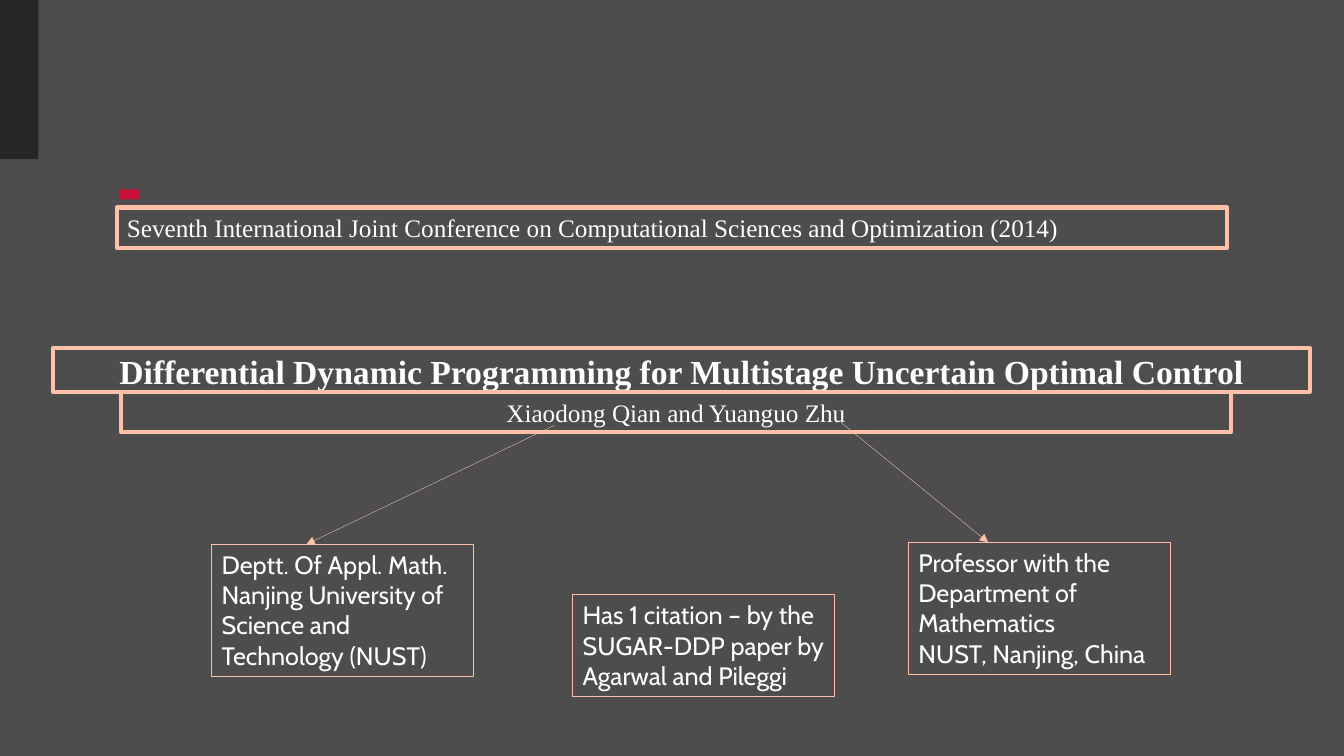
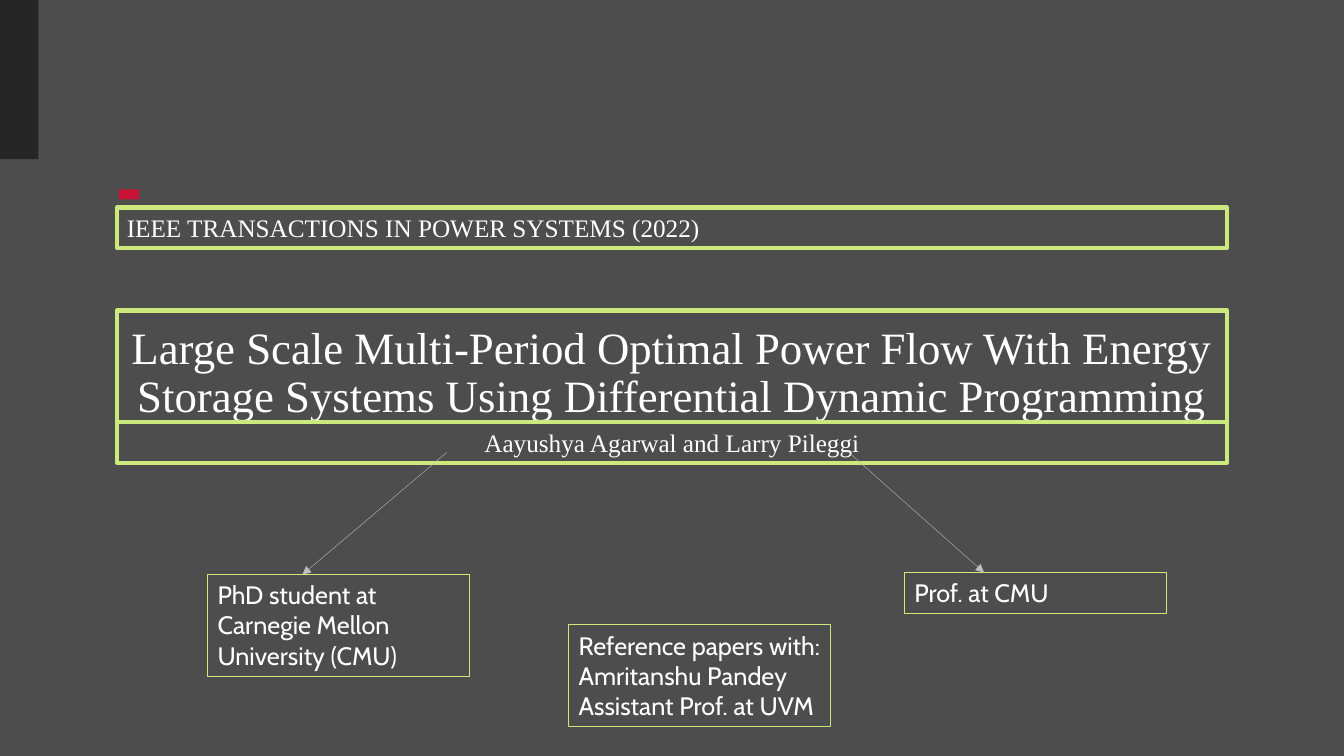
from lxml.etree import SubElement
from pptx import Presentation
from pptx.dml.color import RGBColor
from pptx.enum.shapes import MSO_CONNECTOR, MSO_SHAPE
from pptx.enum.text import MSO_ANCHOR, MSO_AUTO_SIZE, PP_ALIGN
from pptx.oxml.ns import qn
from pptx.util import Inches, Pt

BACKGROUND, TAB, ACCENT, WHITE = "4D4D4D", "262626", "CA1237", "FFFFFF"
PEACH, LIME, GREY = "FFC2A9", "CCEA7C", "BFBFBF"
SERIF, SANS = "Times New Roman", "Cabin"

BAND_X, BAND_W = 1.16, 11.01
NOTE_W, LINE_H, PADDING = 2.6, 0.3, 0.11
NOTE_OFFSETS = {"left": (0, 0), "right": (6.91, -0.02), "middle": (3.58, 0.5)}
ARROW_INSETS = {"left": 0.94, "right": 0.79}


def rgb(code):
    return RGBColor.from_string(code)


def inches(*values):
    return [Inches(v) for v in values]


def add_block(s, box, color):
    sp = s.shapes.add_shape(MSO_SHAPE.RECTANGLE, *inches(*box))
    sp.shadow.inherit = False
    sp.fill.solid()
    sp.fill.fore_color.rgb = rgb(color)
    sp.line.fill.background()


def add_framed_text(s, box, paragraphs, color, weight=3, font=SERIF, size=18,
                    bold=False, align=PP_ALIGN.LEFT):
    """Add a text box with an outline and return it."""
    sp = s.shapes.add_textbox(*inches(*box))
    sp.line.color.rgb = rgb(color)
    sp.line.width = Pt(weight)
    tf = sp.text_frame
    tf.word_wrap = True
    tf.auto_size = MSO_AUTO_SIZE.SHAPE_TO_FIT_TEXT
    for i, text in enumerate(paragraphs):
        p = tf.add_paragraph() if i else tf.paragraphs[0]
        p.alignment = align
        r = p.add_run()
        r.text = text
        r.font.name, r.font.size, r.font.bold = font, Pt(size), bold
        r.font.color.rgb = rgb(WHITE)
    return sp


def add_title(s, box, text, color, size, bold):
    sp = add_framed_text(s, box, [text], color, size=size, bold=bold,
                         align=PP_ALIGN.CENTER)
    tf = sp.text_frame
    tf.auto_size = MSO_AUTO_SIZE.NONE
    tf.vertical_anchor = MSO_ANCHOR.BOTTOM
    tf.margin_left = tf.margin_right = tf.margin_top = tf.margin_bottom = 0
    tf.paragraphs[0].line_spacing = 0.9


def add_arrow(s, start, end, color):
    line = s.shapes.add_connector(MSO_CONNECTOR.STRAIGHT,
                                  *inches(*start, *end))
    line.line.color.rgb = rgb(color)
    line.line.width = Pt(0.25)
    SubElement(line.line._get_or_add_ln(), qn("a:tailEnd"), type="triangle")
    SubElement(line._element.spPr, qn("a:effectLst"))


def add_notes(s, origin, notes, arrow_starts, color, arrow_color):
    """Place the notes around the origin, with arrows to the outer two."""
    for place, (line_count, paragraphs) in notes.items():
        dx, dy = NOTE_OFFSETS[place]
        x, y = origin[0] + dx, origin[1] + dy
        box = (x, y, NOTE_W, PADDING + LINE_H * line_count)
        add_framed_text(s, box, paragraphs, color, weight=0.75, font=SANS)
        if place in arrow_starts:
            end = (x + ARROW_INSETS[place], y)
            add_arrow(s, arrow_starts[place], end, arrow_color)


def add_paper_slide(prs, venue, title, title_box, title_size, title_bold,
                    authors, authors_at, notes_at, notes, arrow_starts,
                    color, arrow_color):
    s = prs.slides.add_slide(prs.slide_layouts[6])
    add_block(s, (0, 0, 0.38, 1.58), TAB)
    add_block(s, (1.18, 1.88, 0.2, 0.1), ACCENT)
    add_title(s, title_box, title, color, title_size, title_bold)
    add_framed_text(s, (*authors_at, BAND_W, 0.4), [authors], color,
                    align=PP_ALIGN.CENTER)
    add_framed_text(s, (BAND_X, 2.06, BAND_W, 0.4), [venue], color)
    add_notes(s, notes_at, notes, arrow_starts, color, arrow_color)


def main():
    prs = Presentation()
    prs.slide_width, prs.slide_height = inches(13.33, 7.5)
    fill = prs.slide_master.background.fill
    fill.solid()
    fill.fore_color.rgb = rgb(BACKGROUND)

    add_paper_slide(
        prs,
        venue="Seventh International Joint Conference on Computational "
              "Sciences and Optimization (2014)",
        title="Differential Dynamic Programming for Multistage Uncertain "
              "Optimal Control",
        title_box=(0.53, 3.45, 12.46, 0.44), title_size=24, title_bold=True,
        authors="Xiaodong Qian and Yuanguo Zhu", authors_at=(1.2, 3.89),
        notes_at=(2.1, 5.4),
        notes={
            "left": (4, ["Deptt. Of Appl. Math.",
                         "Nanjing University of Science and Technology "
                         "(NUST)"]),
            "right": (4, ["Professor with the Department of Mathematics",
                          "NUST, Nanjing, China"]),
            "middle": (3, ["Has 1 citation – by the SUGAR-DDP paper by "
                           "Agarwal and Pileggi"]),
        },
        arrow_starts={"left": (5.5, 4.22), "right": (8.34, 4.19)},
        color=PEACH, arrow_color=PEACH)

    add_paper_slide(
        prs,
        venue="IEEE TRANSACTIONS IN POWER SYSTEMS (2022)",
        title="Large Scale Multi-Period Optimal Power Flow With Energy "
              "Storage Systems Using Differential Dynamic Programming",
        title_box=(BAND_X, 3.08, BAND_W, 1.11), title_size=32,
        title_bold=False,
        authors="Aayushya Agarwal and Larry Pileggi",
        authors_at=(BAND_X, 4.19),
        notes_at=(2.06, 5.7),
        notes={
            "left": (3, ["PhD student at Carnegie Mellon University (CMU)"]),
            "right": (1, ["Prof. at CMU"]),
            "middle": (3, ["Reference papers with: Amritanshu Pandey "
                           "Assistant Prof. at UVM"]),
        },
        arrow_starts={"left": (4.43, 4.49), "right": (8.42, 4.49)},
        color=LIME, arrow_color=GREY)

    prs.save("out.pptx")


if __name__ == "__main__":
    main()
